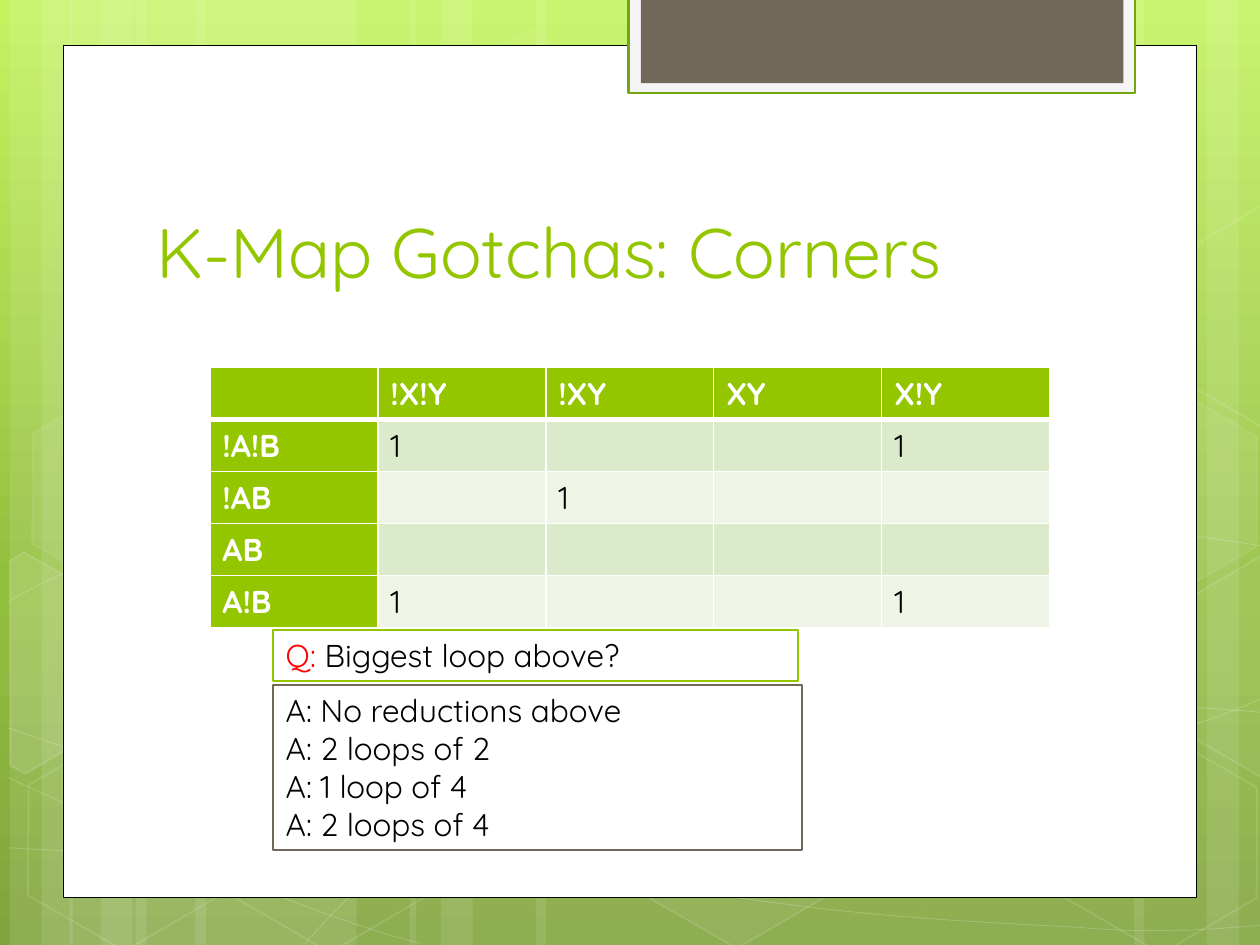
from math import cos, radians, sin

from lxml import etree
from pptx import Presentation
from pptx.dml.color import RGBColor
from pptx.enum.shapes import MSO_SHAPE as Preset
from pptx.enum.text import MSO_ANCHOR as Anchor, PP_ALIGN as Align
from pptx.oxml import parse_xml
from pptx.oxml.ns import nsdecls, qn
from pptx.util import Cm, Pt

FONT = "Quicksand"
COLORS = {
    "white": "FFFFFF", "black": "000000", "red": "FF0000",
    "green": "94C600", "dark_green": "74A510", "brown": "71685A",
    "tab": "F5F5F5", "row_odd": "DCEACC", "row_even": "EEF5E7",
}
BACKDROP = [(0, "C3F35F"), (62, "93BF3F"), (100, "81A53E")]

TITLE = "K-Map Gotchas: Corners"
KMAP = [
    ["", "!X!Y", "!XY", "XY", "X!Y"],
    ["!A!B", "1", "", "", "1"],
    ["!AB", "", "1", "", ""],
    ["AB", "", "", "", ""],
    ["A!B", "1", "", "", "1"],
]
QUESTION = [[("Q:", "red"), (" Biggest loop above?", "black")]]
ANSWERS = [[(f"A: {answer}", "black")] for answer in (
    "No reductions above", "2 loops of 2", "1 loop of 4", "2 loops of 4")]

# Backdrop parts in cm
SLIDE_W, SLIDE_H = 25.4, 19.05
TILT = 30
BANDS = [  # left, width
    (2.74, 4.45), (0.2, 1.27), (0.84, 2.12),
    (3.94, 4.45), (1.4, 1.27), (2.03, 2.12),
    (18.62, 4.45), (24.33, 1.27), (22.86, 2.12),
    (10.8, 7.83), (8.26, 1.27), (8.89, 2.12),
]
CURVES = [  # start point, then two handles and an end point per segment
    [(0.18, 17.09), (1.55, 17.17), (2.92, 17.25), (4.83, 17.22),
     (6.73, 17.2), (9.09, 17.15), (11.63, 16.89),
     (14.17, 16.64), (17.78, 16.15), (20.12, 15.67),
     (22.43, 15.19), (24.82, 14.43), (25.58, 14)],
    [(0.18, 12.12), (0.91, 11.71), (1.65, 11.33), (3.07, 10.95),
     (4.52, 10.57), (6.58, 10.01), (8.81, 9.83),
     (11.07, 9.65), (13.82, 9.63), (16.61, 9.83),
     (19.41, 10.03), (24.05, 10.82), (25.58, 11.02)],
    [(0.15, 15.67), (3.23, 17.07), (6.27, 18.47), (8.48, 19.02)],
    [(0.18, 14.68), (0.97, 14.96), (1.78, 15.24), (3.25, 15.65),
     (4.72, 16.03), (6.93, 16.66), (9.07, 17.09),
     (11.18, 17.53), (13.84, 17.98), (15.95, 18.24),
     (18.06, 18.52), (20.32, 18.62), (21.67, 18.69),
     (22.99, 18.8), (23.34, 18.75), (24, 18.75),
     (24.66, 18.72), (25.12, 18.67), (25.58, 18.64)],
    [(6.15, 19.02), (6.6, 18.52), (7.06, 18.01), (7.67, 17.55),
     (8.28, 17.09), (9.14, 16.59), (9.86, 16.23),
     (10.57, 15.88), (11, 15.72), (11.94, 15.47),
     (12.85, 15.21), (14.55, 14.86), (15.44, 14.68),
     (16.36, 14.5), (16.48, 14.5), (17.27, 14.45),
     (18.06, 14.38), (19.3, 14.3), (20.17, 14.27),
     (21.06, 14.25), (22.5, 14.27), (22.5, 14.27),
     (22.5, 14.27), (24.21, 14.27), (24.21, 14.27),
     (24.66, 14.3), (25.1, 14.33), (25.32, 14.35),
     (25.55, 14.38), (25.48, 14.35), (25.55, 14.38)],
]
HEXAGONS = [  # left, top, fill opacity, line opacity
    (8.48, 0.91, 4, 8), (12.62, 14.96, 6, 12), (0.28, 15.01, None, 12),
    (0.36, 7.92, 7, 8), (4.42, 15.04, None, 12), (19.13, 11.51, 10, 12),
    (21.18, 15.06, None, 12), (21.18, 7.98, 7, 8),
]
CUT_HEXAGONS = [  # centre, corners, fill opacity
    ((0.91, 13.59), [(0.2, 11.3), (0.48, 11.13), (2.44, 12.24), (2.41, 14.48),
                     (0.51, 15.6), (0.2, 15.42)], 10),
    ((25.02, 13.21), [(23.52, 12.32), (25.43, 11.2), (25.63, 11.33), (25.63, 15.57),
                      (25.45, 15.67), (23.52, 14.55)], 4),
    ((25.02, 6.12), [(23.52, 5.26), (25.43, 4.14), (25.65, 4.27), (25.63, 8.51),
                     (25.45, 8.61), (23.52, 7.49)], None),
]
PANELS = [  # box, fill, line, line width
    ((1.27, 0.91, 22.86, 17.19), "white", "black", 0.5),
    ((12.67, -0.05, 10.21, 1.93), "tab", "dark_green", 1.25),
    ((12.92, -0.05, 9.73, 1.73), "brown", None, 0),
]


def rgb(color):
    return RGBColor.from_string(COLORS[color])


def set_opacity(fill, percent):
    color = fill._xPr.find(qn("a:solidFill"))[0]
    etree.SubElement(color, qn("a:alpha")).set("val", str(percent * 1000))


def paint(shape, fill=None, line=None, width=1, fill_opacity=100, line_opacity=100):
    shape.shadow.inherit = False
    for part, color, opacity in ((shape.fill, fill, fill_opacity),
                                 (shape.line.fill, line, line_opacity)):
        if color is None:
            part.background()
            continue
        part.solid()
        part.fore_color.rgb = rgb(color)
        if opacity < 100:
            set_opacity(part, opacity)
    if line:
        shape.line.width = Pt(width)


def paint_ghost(shape, fill_opacity, line_opacity, width=1):
    """Translucent white, without a fill when its opacity is None."""
    paint(shape, "white" if fill_opacity else None, "white", width,
          fill_opacity or 100, line_opacity)


def add_preset(slide, preset, box):
    return slide.shapes.add_shape(preset, *map(Cm, box))


def add_outline(slide, points, close):
    start, *rest = [(Cm(x), Cm(y)) for x, y in points]
    builder = slide.shapes.build_freeform(*start)
    builder.add_line_segments(rest, close=close)
    return builder.convert_to_shape()


def add_curve(slide, points):
    """Join every three line steps of an open outline into one Bezier segment."""
    curve = add_outline(slide, points, False)
    outline = next(curve._element.iter(qn("a:path")))
    steps = outline.findall(qn("a:lnTo"))
    for i in range(0, len(steps), 3):
        segment = etree.SubElement(outline, qn("a:cubicBezTo"))
        for step in steps[i:i + 3]:
            segment.append(step[0])
            outline.remove(step)
    return curve


def turn_back(point, centre):
    dx, dy = point[0] - centre[0], point[1] - centre[1]
    c, s = cos(radians(TILT)), sin(radians(TILT))
    return centre[0] + dx * c + dy * s, centre[1] - dx * s + dy * c


def style_run(run, color, size=18, bold=False):
    run.font.name, run.font.size, run.font.bold = FONT, Pt(size), bold
    run.font.color.rgb = rgb(color)


def add_backdrop(slide):
    fill = slide.background.fill
    fill.gradient()
    fill.gradient_angle = 270
    stops = fill._xPr.find(qn("a:gradFill")).find(qn("a:gsLst"))
    stops[:] = [parse_xml(f'<a:gs {nsdecls("a")} pos="{at * 1000}"><a:srgbClr val="{color}"/></a:gs>')
                for at, color in BACKDROP]
    for left, width in BANDS:
        paint(add_preset(slide, Preset.RECTANGLE, (left, 0, width, SLIDE_H)),
              "white", fill_opacity=10)
    for points in CURVES:
        paint_ghost(add_curve(slide, points), None, 20, 0.5)
    for left, top, fill_opacity, line_opacity in HEXAGONS:
        hexagon = add_preset(slide, Preset.HEXAGON, (left, top, 4.45, 3.86))
        hexagon.adjustments[0] = 0.285
        hexagon.rotation = TILT
        paint_ghost(hexagon, fill_opacity, line_opacity)
    for centre, corners, fill_opacity in CUT_HEXAGONS:
        cut = add_outline(slide, [turn_back(corner, centre) for corner in corners], True)
        cut.rotation = TILT
        paint_ghost(cut, fill_opacity, 12)
    for box, fill, line, width in PANELS:
        paint(add_preset(slide, Preset.RECTANGLE, box), fill, line, width)


def add_title(slide):
    title = slide.shapes.add_textbox(Cm(2.9), Cm(2.84), Cm(19.5), Cm(3.18)).text_frame
    title.word_wrap = True
    title.vertical_anchor = Anchor.BOTTOM
    title.text = TITLE
    style_run(title.paragraphs[0].runs[0], "green", 40)


def add_borders(cell, bottom):
    properties = cell._tc.get_or_add_tcPr()
    for i, (side, width) in enumerate((("L", 1), ("R", 1), ("T", 1), ("B", bottom))):
        properties.insert(i, parse_xml(
            f'<a:ln{side} {nsdecls("a")} w="{Pt(width)}"><a:solidFill>'
            f'<a:srgbClr val="{COLORS["white"]}"/></a:solidFill></a:ln{side}>'))


def add_kmap(slide):
    table = slide.shapes.add_table(len(KMAP), len(KMAP[0]), Cm(4.23), Cm(7.41),
                                   Cm(16.93), Cm(5.24)).table
    for r, labels in enumerate(KMAP):
        for c, label in enumerate(labels):
            cell = table.cell(r, c)
            heading = r == 0 or c == 0
            cell.fill.solid()
            cell.fill.fore_color.rgb = rgb(
                "green" if heading else "row_odd" if r % 2 else "row_even")
            add_borders(cell, 3 if r == 0 else 1)
            cell.text = label
            for run in cell.text_frame.paragraphs[0].runs:
                style_run(run, "white" if heading else "black", bold=heading)


def add_note(slide, box, line, paragraphs):
    note = add_preset(slide, Preset.RECTANGLE, box)
    paint(note, "white", line, 1.25)
    frame = note.text_frame
    frame.word_wrap = True
    frame.vertical_anchor = Anchor.TOP
    frame.text = "\n".join("".join(text for text, _ in parts) for parts in paragraphs)
    for paragraph, parts in zip(frame.paragraphs, paragraphs):
        paragraph.alignment = Align.LEFT
        paragraph.clear()
        for text, color in parts:
            run = paragraph.add_run()
            run.text = text
            style_run(run, color)


def main():
    deck = Presentation()
    deck.slide_width, deck.slide_height = Cm(SLIDE_W), Cm(SLIDE_H)
    slide = deck.slides.add_slide(deck.slide_layouts[6])
    add_backdrop(slide)
    add_title(slide)
    add_kmap(slide)
    add_note(slide, (5.51, 13.81, 10.66, 3.32), "brown", ANSWERS)
    add_note(slide, (5.51, 12.7, 10.58, 1.03), "green", QUESTION)
    deck.save("out.pptx")


if __name__ == "__main__":
    main()
